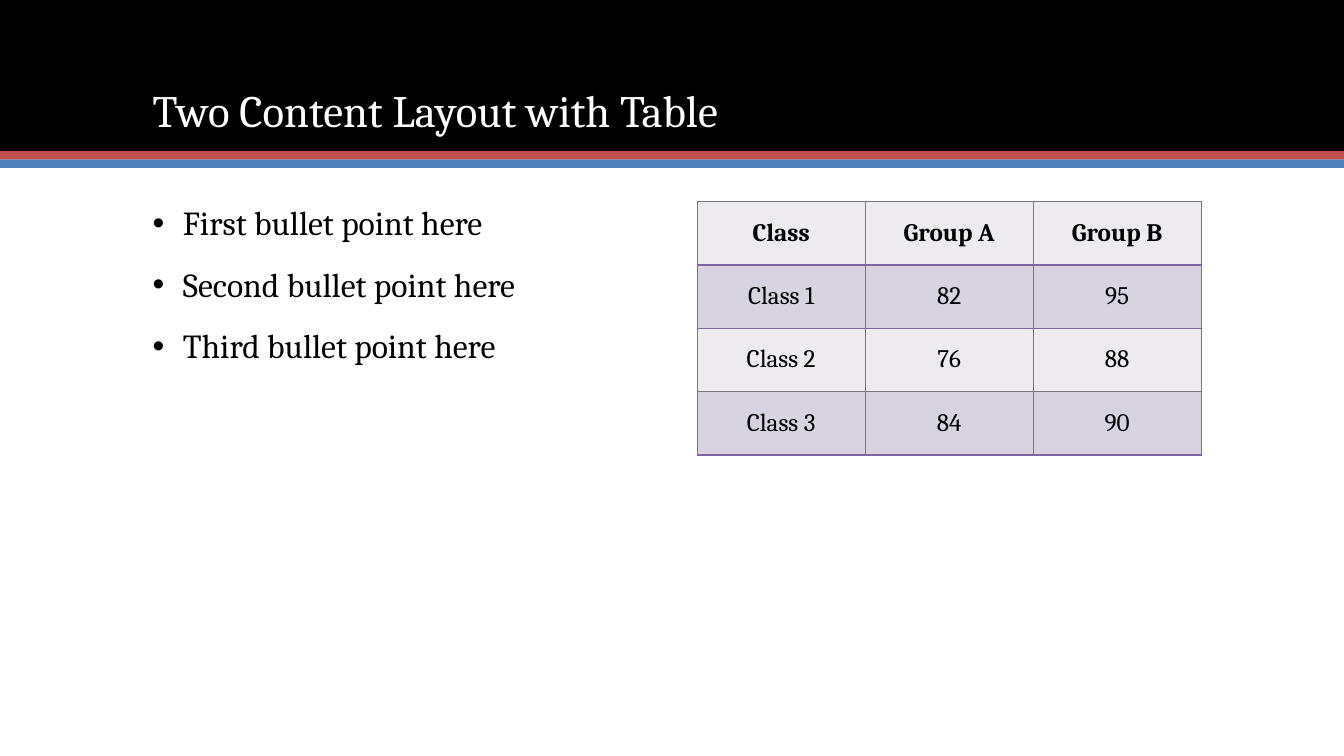
from dataclasses import dataclass

from lxml import etree
from pptx import Presentation
from pptx.dml.color import RGBColor
from pptx.enum.shapes import MSO_SHAPE
from pptx.enum.text import MSO_ANCHOR, PP_ALIGN
from pptx.oxml.ns import qn
from pptx.util import Emu, Inches, Pt

RECTANGLE = MSO_SHAPE.RECTANGLE
TOP, MIDDLE, BOTTOM = MSO_ANCHOR.TOP, MSO_ANCHOR.MIDDLE, MSO_ANCHOR.BOTTOM
CENTER = PP_ALIGN.CENTER

# The page is a grid of 160 columns by 90 rows.
CELL = Inches(1) // 12
COLUMNS, ROWS = 160, 90
FONT = "Cambria"
COLORS = {
    "black": "000000",
    "white": "FFFFFF",
    "red": "C0504D",
    "blue": "4F81BD",
    "purple": "8064A2",
    "gray": "777777",
    "light": "EDEAF0",
    "dark": "D8D3E0",
}


@dataclass(frozen=True)
class Area:
    column: float
    row: float
    columns: float
    rows: float

    def lengths(self) -> list[Emu]:
        return [Emu(round(n * CELL)) for n in (self.column, self.row, self.columns, self.rows)]


@dataclass(frozen=True)
class Band:
    row: float
    rows: float
    color: str


@dataclass(frozen=True)
class Edge:
    tag: str
    color: str
    points: float


BANDS = [Band(0, 18, "black"), Band(18, 1, "red"), Band(19, 1, "blue")]
TITLE_AREA = Area(17, 3.4, 126, 13.5)
BODY_AREA = Area(17, 24, 126, 57)
TABLE_AREA = Area(83, 24, 60, 30.16)
TITLE = "Two Content Layout with Table"
BULLETS = ["First bullet point here", "Second bullet point here", "Third bullet point here"]
SCORES = [
    ["Class", "Group A", "Group B"],
    ["Class 1", "82", "95"],
    ["Class 2", "76", "88"],
    ["Class 3", "84", "90"],
]


def rgb(name: str) -> RGBColor:
    return RGBColor.from_string(COLORS[name])


def set_font(para, size: float, color: str, bold: bool = False) -> None:
    font = para.font
    font.name, font.size, font.bold = FONT, Pt(size), bold
    font.color.rgb = rgb(color)


def add_band(page, band: Band) -> None:
    shape = page.shapes.add_shape(RECTANGLE, *Area(0, band.row, COLUMNS, band.rows).lengths())
    shape.shadow.inherit = False
    shape.fill.solid()
    shape.fill.fore_color.rgb = rgb(band.color)
    shape.line.fill.background()


def add_text(page, area: Area, lines: list[str], size: float, color: str, anchor) -> list:
    """Add a text box with one paragraph per line and return the paragraphs."""
    frame = page.shapes.add_textbox(*area.lengths()).text_frame
    frame.word_wrap = True
    frame.vertical_anchor = anchor
    frame.text = "\n".join(lines)
    for para in frame.paragraphs:
        para.line_spacing = 0.9
        set_font(para, size, color)
    return list(frame.paragraphs)


def add_bullet(para) -> None:
    para.space_before = Pt(18)
    properties = para._p.get_or_add_pPr()
    indent = Inches(0.3)
    properties.set("marL", str(indent))
    properties.set("indent", str(-indent))
    etree.SubElement(properties, qn("a:buFont")).set("typeface", "Arial")
    etree.SubElement(properties, qn("a:buChar")).set("char", "•")
    # Bullets come before the default run properties in the schema.
    properties.append(properties.find(qn("a:defRPr")))


def set_edges(cell, edges: list[Edge]) -> None:
    properties = cell._tc.get_or_add_tcPr()
    for position, edge in enumerate(edges):
        line = etree.Element(qn(f"a:{edge.tag}"), w=str(Pt(edge.points)))
        fill = etree.SubElement(line, qn("a:solidFill"))
        etree.SubElement(fill, qn("a:srgbClr")).set("val", COLORS[edge.color])
        properties.insert(position, line)


def row_edges(row: int) -> list[Edge]:
    """Gray sides and top, purple rules, heavier below the header and last row."""
    rules = [Edge("", "gray", 0.75)]
    for index in range(len(SCORES)):
        heavy = index in (0, len(SCORES) - 1)
        rules.append(Edge("", "purple" if index != 2 else "gray", 1.5 if heavy else 1))
    above, below = rules[row], rules[row + 1]
    return [
        Edge("lnL", "gray", 0.75),
        Edge("lnR", "gray", 0.75),
        Edge("lnT", above.color, above.points),
        Edge("lnB", below.color, below.points),
    ]


def add_scores(page) -> None:
    table = page.shapes.add_table(len(SCORES), len(SCORES[0]), *TABLE_AREA.lengths()).table
    table.horz_banding = False
    for row, values in enumerate(SCORES):
        for column, value in enumerate(values):
            cell = table.cell(row, column)
            cell.text = value
            cell.vertical_anchor = MIDDLE
            cell.fill.solid()
            cell.fill.fore_color.rgb = rgb("dark" if row % 2 else "light")
            para = cell.text_frame.paragraphs[0]
            para.alignment = CENTER
            set_font(para, 18, "black", bold=row == 0)
            set_edges(cell, row_edges(row))


def main() -> None:
    deck = Presentation()
    deck.slide_width, deck.slide_height = Emu(COLUMNS * CELL), Emu(ROWS * CELL)
    page = deck.slides.add_slide(deck.slide_layouts[6])
    for band in BANDS:
        add_band(page, band)
    add_text(page, TITLE_AREA, [TITLE], 32, "white", BOTTOM)
    for para in add_text(page, BODY_AREA, BULLETS, 24, "black", TOP):
        add_bullet(para)
    add_scores(page)
    deck.save("out.pptx")


if __name__ == "__main__":
    main()
